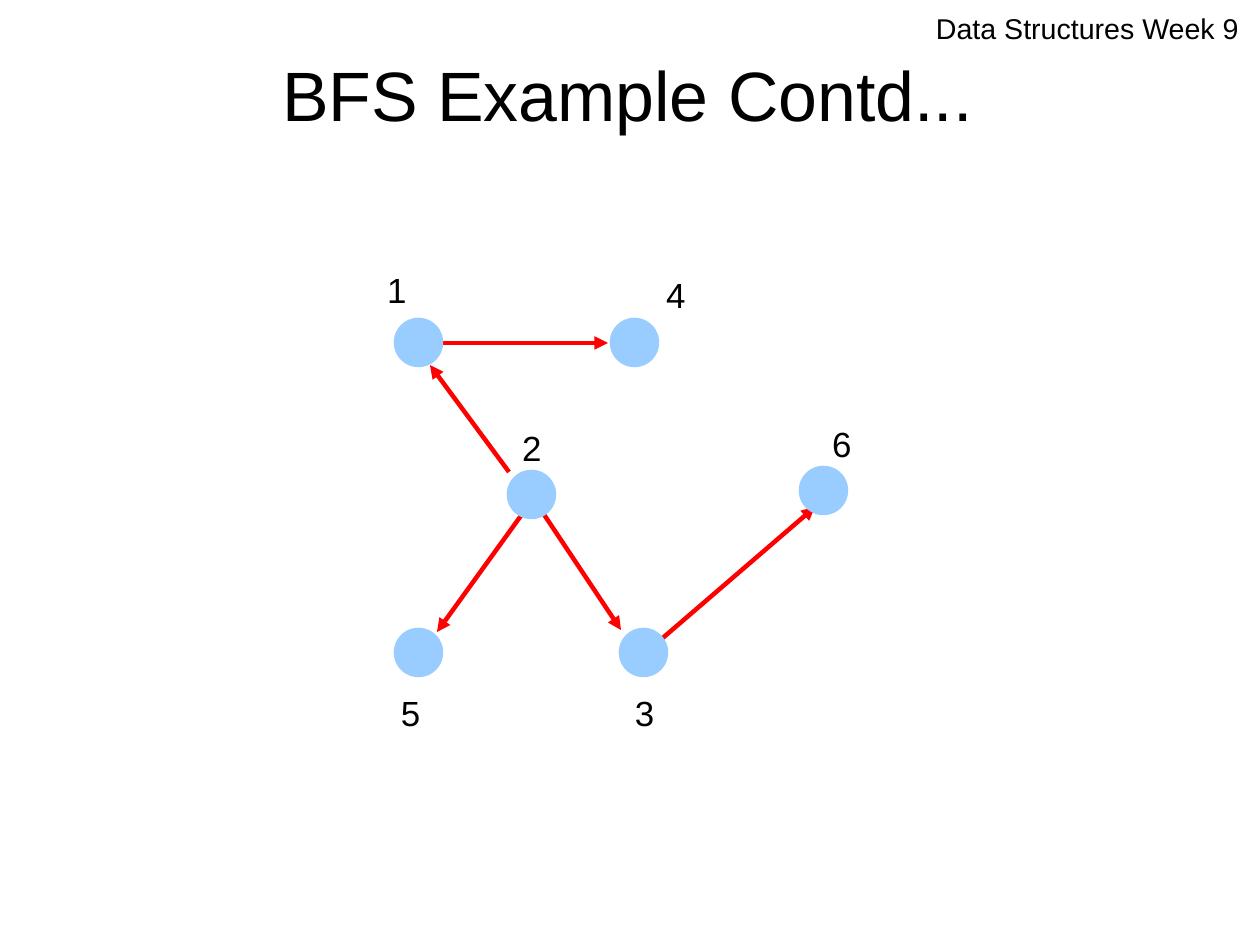
from pptx import Presentation
from pptx.dml.color import RGBColor
from pptx.enum.shapes import MSO_CONNECTOR, MSO_SHAPE
from pptx.enum.text import MSO_ANCHOR, PP_ALIGN
from pptx.oxml.ns import qn
from pptx.util import Pt
from lxml.etree import SubElement

PX = 8000
COLORS = {"text": "000000", "node": "99CCFF", "edge": "FF0000"}
LINE_WIDTH = Pt(2.83)
NODE_SIZE, LABEL_SIZE = 45, 67

NODES = [
    ("1", (396, 320), (373, 251)),
    ("2", (509, 472), (508, 409)),
    ("3", (621, 630), (621, 674)),
    ("4", (612, 320), (652, 256)),
    ("5", (396, 630), (387, 674)),
    ("6", (801, 468), (818, 405)),
]
EDGES = [
    ((541, 488), (437, 632)),
    ((531, 495), (621, 630)),
    ((643, 655), (815, 507)),
    ((426, 343), (608, 343)),
    ((509, 472), (430, 365)),
]


def px(*values):
    """Turn px lengths into EMU."""
    return [v * PX for v in values]


def rgb(name):
    """Look up a named colour."""
    return RGBColor.from_string(COLORS[name])


def add_text(s, text, box, size, margins=(0, 0), spacing=1.0,
             align=PP_ALIGN.LEFT, anchor=MSO_ANCHOR.TOP):
    """Add a one-paragraph text box."""
    tf = s.shapes.add_textbox(*px(*box)).text_frame
    tf.word_wrap = True
    tf.vertical_anchor = anchor
    tf.margin_left, tf.margin_top = px(*margins)
    tf.margin_right, tf.margin_bottom = px(*margins)
    p = tf.paragraphs[0]
    p.text = text
    p.alignment = align
    p.line_spacing = spacing
    p.font.name = "Arial"
    p.font.size = Pt(size)
    p.font.color.rgb = rgb("text")


def add_edge(s, start, end):
    """Add an arrow from start to end."""
    sp = s.shapes.add_connector(MSO_CONNECTOR.STRAIGHT, *px(*start, *end))
    sp.line.color.rgb = rgb("edge")
    sp.line.width = LINE_WIDTH
    ln = sp._element.spPr.find(qn("a:ln"))
    SubElement(ln, qn("a:tailEnd"), type="triangle")
    SubElement(sp._element.spPr, qn("a:effectLst"))


def add_node(s, corner):
    """Add a graph node as a filled circle."""
    sp = s.shapes.add_shape(MSO_SHAPE.OVAL, *px(*corner, NODE_SIZE, NODE_SIZE))
    sp.shadow.inherit = False
    sp.fill.solid()
    sp.fill.fore_color.rgb = rgb("node")
    sp.line.color.rgb = rgb("node")
    sp.line.width = LINE_WIDTH


def main():
    """Build the BFS slide."""
    prs = Presentation()
    prs.slide_width, prs.slide_height = px(1260, 945)
    s = prs.slides.add_slide(prs.slide_layouts[6])
    add_text(s, "Data Structures Week 9", (936, 11, 310, 38), 18)
    add_text(s, "BFS Example Contd...", (63, 32, 1130, 104), 44, spacing=1.24,
             align=PP_ALIGN.CENTER, anchor=MSO_ANCHOR.MIDDLE)
    for start, end in EDGES:
        add_edge(s, start, end)
    for label, corner, label_corner in NODES:
        add_node(s, corner)
        add_text(s, label, (*label_corner, LABEL_SIZE, LABEL_SIZE), 22,
                 margins=(14, 8), spacing=1.24)
    prs.save("out.pptx")


if __name__ == "__main__":
    main()
